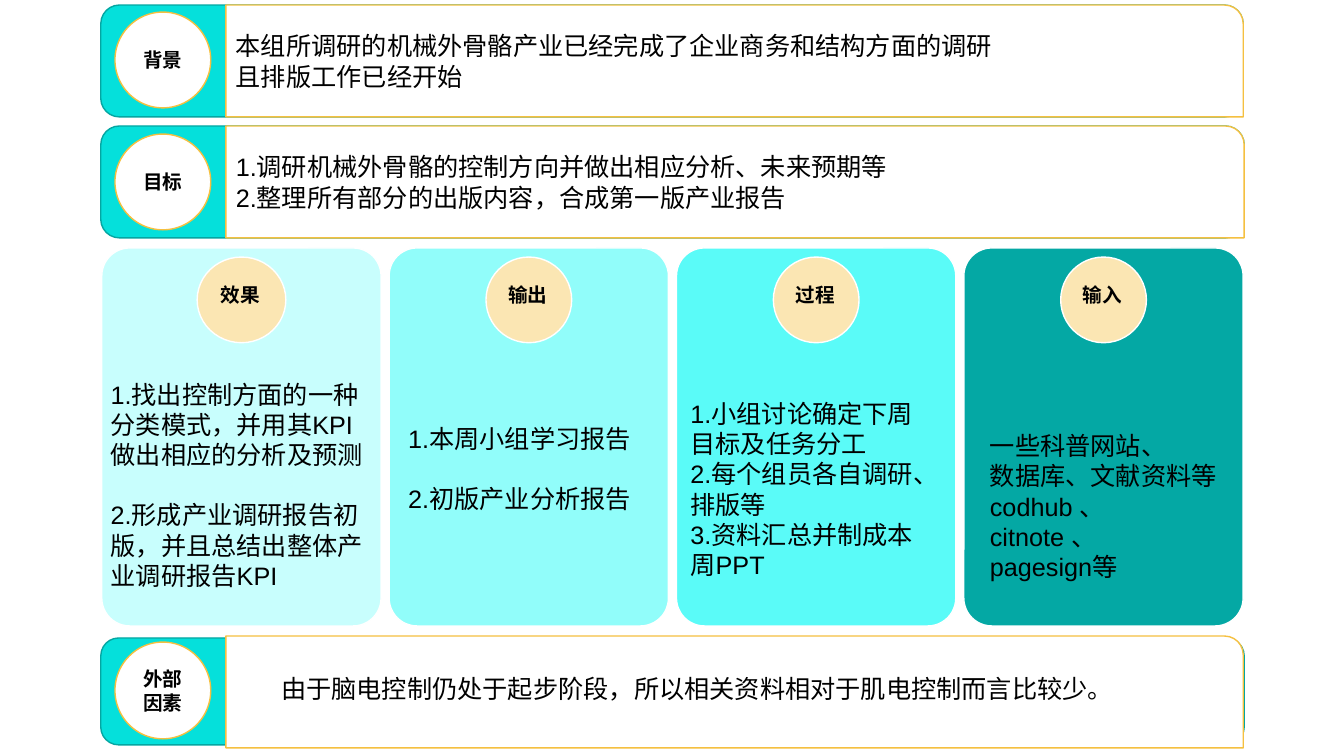
from dataclasses import dataclass

import lxml.etree
import pptx
import pptx.dml.color
import pptx.enum.shapes
import pptx.enum.text
import pptx.oxml.ns
import pptx.shapes.autoshape
import pptx.slide
import pptx.util

Inches = pptx.util.Inches
Shape = pptx.shapes.autoshape.Shape
Kind = pptx.enum.shapes.MSO_SHAPE
Align = pptx.enum.text.PP_ALIGN
Anchor = pptx.enum.text.MSO_ANCHOR

LABEL_FONT, BODY_FONT = "Noto Sans CJK SC", "Arial"
BLACK, WHITE, GOLD, CREAM = "000000", "FFFFFF", "F5C040", "FBE6B3"
TURQUOISE, TEAL = "05E0DB", "04A6A2"
CARD_LEFT, CARD_TOP, CARD_WIDTH, CARD_HEIGHT, CARD_PITCH = 1.01, 2.46, 2.77, 3.75, 2.85
BLANK_LINE = 21.5


@dataclass
class Box:
    left: float
    top: float
    width: float
    height: float


@dataclass
class Band:
    label: str
    lines: list[str]
    bar: Box
    circle: Box
    panel: Box


@dataclass
class Card:
    label: str
    fill: str
    circle_width: float
    body: Box
    lines: list[str]
    wrap: bool = False
    spaced_line: int | None = None


BANDS = [
    Band("背景", ["本组所调研的机械外骨骼产业已经完成了企业商务和结构方面的调研",
                "且排版工作已经开始"],
         Box(1, 0.05, 11.33, 1.11), Box(1.14, 0.12, 0.95, 0.95), Box(2.24, 0.05, 10.09, 1.11)),
    Band("目标", ["1.调研机械外骨骼的控制方向并做出相应分析、未来预期等",
                "2.整理所有部分的出版内容，合成第一版产业报告"],
         Box(1, 1.25, 11.34, 1.11), Box(1.14, 1.33, 0.95, 0.95), Box(2.24, 1.25, 10.1, 1.11)),
    Band("外部因素", [],
         Box(1, 6.33, 11.34, 1.06), Box(1.14, 6.37, 0.95, 0.96), Box(2.24, 6.31, 10.09, 1.11)),
]
CARDS = [
    Card("效果", "C8FEFD", 0.88, Box(1, 3.71, 2.7, 2.52),
         ["1.找出控制方面的一种", "分类模式，并用其KPI", "做出相应的分析及预测",
          "2.形成产业调研报告初版，并且总结出整体产业调研报告KPI"], True, 3),
    Card("输出", "91FDFA", 0.85, Box(3.95, 4.15, 2.53, 1.02),
         ["1.本周小组学习报告", "2.初版产业分析报告"], True, 1),
    Card("过程", "5AFBF8", 0.85, Box(6.75, 3.9, 2.66, 1.92),
         ["1.小组讨论确定下周", "目标及任务分工", "2.每个组员各自调研、", "排版等",
          "3.资料汇总并制成本", "周PPT"]),
    Card("输入", "04A8A4", 0.85, Box(9.72, 4.22, 2.56, 1.62),
         ["一些科普网站、", "数据库、文献资料等", "codhub 、", "citnote 、", "pagesign等"]),
]
EXTERNAL_BODY = Box(2.69, 6.63, 8.86, 0.42)
EXTERNAL_TEXT = "由于脑电控制仍处于起步阶段，所以相关资料相对于肌电控制而言比较少。"


def color(value: str) -> pptx.dml.color.RGBColor:
    return pptx.dml.color.RGBColor.from_string(value)


def place(box: Box) -> list[pptx.util.Length]:
    return [Inches(length) for length in (box.left, box.top, box.width, box.height)]


def add_shape(page: pptx.slide.Slide, kind: Kind, box: Box, fill: str,
              line: str | None = None) -> Shape:
    shape = page.shapes.add_shape(kind, *place(box))
    shape.shadow.inherit = False
    shape.fill.solid()
    shape.fill.fore_color.rgb = color(fill)
    if line is None:
        shape.line.fill.background()
    else:
        shape.line.color.rgb = color(line)
        shape.line.width = pptx.util.Pt(1)
    return shape


def write(shape: Shape, lines: list[str], size: int, font: str, bold: bool = False,
          align: Align = Align.LEFT, anchor: Anchor = Anchor.TOP, wrap: bool = True) -> None:
    frame = shape.text_frame
    frame.text = "\n".join(lines)
    frame.word_wrap = wrap
    frame.vertical_anchor = anchor
    for para in frame.paragraphs:
        para.alignment = align
        for span in para.runs:
            span.font.size = pptx.util.Pt(size)
            span.font.bold = bold
            span.font.color.rgb = color(BLACK)
            span.font.name = font
            # East Asian characters take their own typeface element
            lxml.etree.SubElement(span._r.get_or_add_rPr(), pptx.oxml.ns.qn("a:ea"),
                                  typeface=font)


def add_body(page: pptx.slide.Slide, box: Box, lines: list[str], wrap: bool = True) -> Shape:
    body = page.shapes.add_textbox(*place(box))
    write(body, lines, 18, BODY_FONT, wrap=wrap)
    body.text_frame.auto_size = pptx.enum.text.MSO_AUTO_SIZE.SHAPE_TO_FIT_TEXT
    return body


def draw_band(page: pptx.slide.Slide, band: Band) -> None:
    add_shape(page, Kind.ROUNDED_RECTANGLE, band.bar, TURQUOISE, TEAL)
    circle = add_shape(page, Kind.OVAL, band.circle, WHITE, GOLD)
    write(circle, [band.label], 14, LABEL_FONT, True, Align.CENTER, Anchor.MIDDLE)
    panel = add_shape(page, Kind.ROUND_1_RECTANGLE, band.panel, WHITE, GOLD)
    if band.lines:
        write(panel, band.lines, 18, BODY_FONT, anchor=Anchor.MIDDLE)


def draw_card(page: pptx.slide.Slide, card: Card, left: float) -> None:
    back = add_shape(page, Kind.ROUNDED_RECTANGLE,
                     Box(left, CARD_TOP, CARD_WIDTH, CARD_HEIGHT), card.fill, WHITE)
    back.adjustments[0] = 0.1
    circle_left = left + (CARD_WIDTH - card.circle_width) / 2
    add_shape(page, Kind.OVAL, Box(circle_left, 2.55, card.circle_width, 0.85), CREAM, WHITE)
    label = add_shape(page, Kind.RECTANGLE, Box(left + 1.08, 2.76, 0.59, 0.34), CREAM)
    write(label, [card.label], 14, LABEL_FONT, True, wrap=False)
    body = add_body(page, card.body, card.lines, card.wrap)
    if card.spaced_line is not None:
        body.text_frame.paragraphs[card.spaced_line].space_before = pptx.util.Pt(BLANK_LINE)


def main() -> None:
    deck = pptx.Presentation()
    deck.slide_width, deck.slide_height = Inches(13.33), Inches(7.5)
    page = deck.slides.add_slide(deck.slide_layouts[6])

    # Bands above and below the cards
    for band in BANDS:
        draw_band(page, band)
    add_body(page, EXTERNAL_BODY, [EXTERNAL_TEXT])

    # Row of four cards
    for column, card in enumerate(CARDS):
        draw_card(page, card, CARD_LEFT + column * CARD_PITCH)

    deck.save("out.pptx")


if __name__ == "__main__":
    main()
